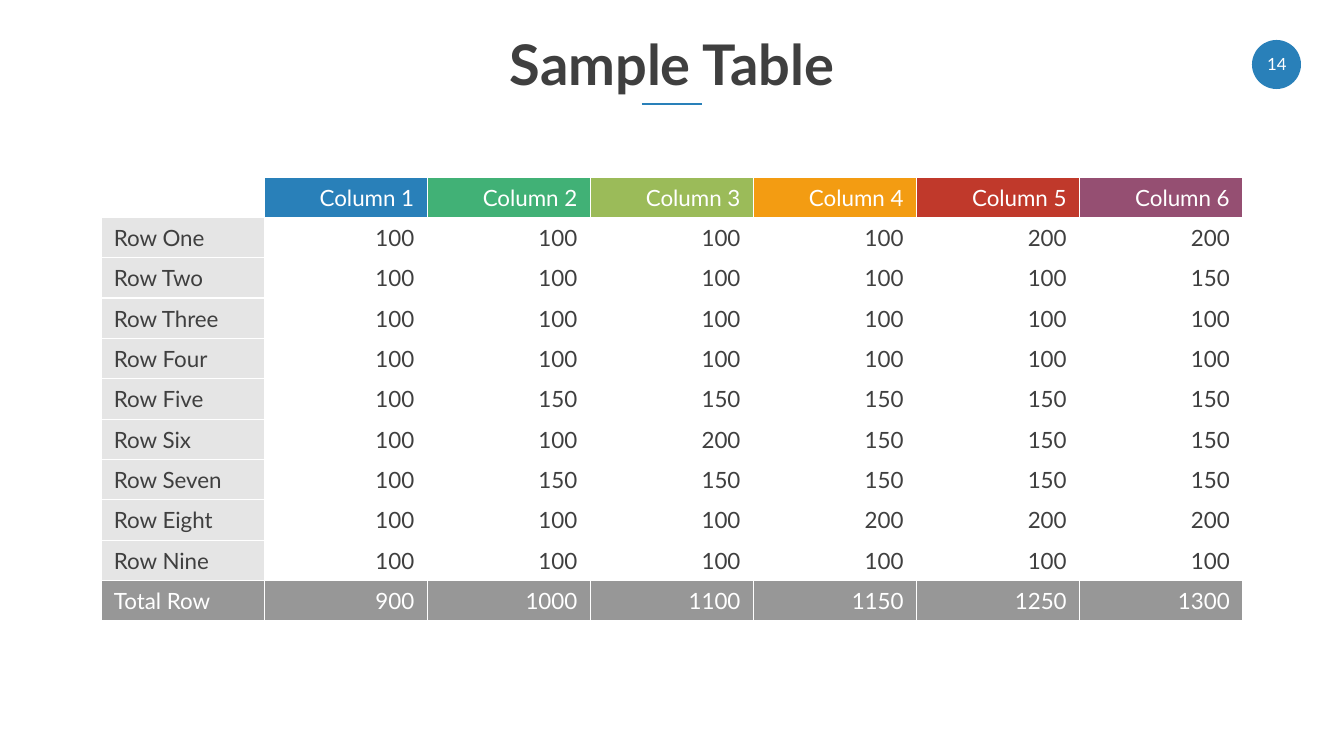
from lxml import etree
from pptx import Presentation
from pptx.dml.color import RGBColor
from pptx.enum.shapes import MSO_CONNECTOR, MSO_SHAPE
from pptx.enum.text import MSO_ANCHOR, PP_ALIGN
from pptx.oxml.ns import qn
from pptx.util import Pt

OVAL = MSO_SHAPE.OVAL
STRAIGHT = MSO_CONNECTOR.STRAIGHT
MIDDLE = MSO_ANCHOR.MIDDLE
LEFT, CENTER, RIGHT = PP_ALIGN.LEFT, PP_ALIGN.CENTER, PP_ALIGN.RIGHT

SLIDE_WIDTH, SLIDE_HEIGHT = 1344, 756
EMU_PER_PX = 12192000 / SLIDE_WIDTH
FONT = "Lato"

WHITE = RGBColor(0xFF, 0xFF, 0xFF)
DARK = RGBColor(0x3F, 0x3F, 0x3F)
GRAY = RGBColor(0x80, 0x80, 0x80)
BLUE = RGBColor(0x29, 0x80, 0xB9)
GREEN = RGBColor(0x41, 0xB1, 0x76)
LIME = RGBColor(0x9B, 0xBB, 0x59)
ORANGE = RGBColor(0xF3, 0x9C, 0x12)
RED = RGBColor(0xC0, 0x39, 0x2B)
PURPLE = RGBColor(0x95, 0x4F, 0x72)
HEADER_COLORS = [BLUE, GREEN, LIME, ORANGE, RED, PURPLE]

LABEL_OPACITY, TOTAL_OPACITY = 20, 81  # percent
ROWS = {
    "Row One": [100, 100, 100, 100, 200, 200],
    "Row Two": [100, 100, 100, 100, 100, 150],
    "Row Three": [100, 100, 100, 100, 100, 100],
    "Row Four": [100, 100, 100, 100, 100, 100],
    "Row Five": [100, 150, 150, 150, 150, 150],
    "Row Six": [100, 100, 200, 150, 150, 150],
    "Row Seven": [100, 150, 150, 150, 150, 150],
    "Row Eight": [100, 100, 100, 200, 200, 200],
    "Row Nine": [100, 100, 100, 100, 100, 100],
}


def px(length):
    return round(length * EMU_PER_PX)


def write(text_frame, text, size, color, align, bold=False):
    text_frame.text = text
    paragraph = text_frame.paragraphs[0]
    paragraph.alignment = align
    for run in paragraph.runs:
        run.font.name = FONT
        run.font.size = Pt(size)
        run.font.bold = bold
        run.font.color.rgb = color
    return paragraph


def add_text(slide, box, text, size, color, bold=False):
    text_frame = slide.shapes.add_textbox(*map(px, box)).text_frame
    text_frame.word_wrap = True
    text_frame.vertical_anchor = MIDDLE
    return write(text_frame, text, size, color, CENTER, bold)


def add_badge(slide, box, color):
    badge = slide.shapes.add_shape(OVAL, *map(px, box))
    badge.shadow.inherit = False
    badge.fill.solid()
    badge.fill.fore_color.rgb = color
    badge.line.fill.background()


def add_rule(slide, left, right, y, color):
    rule = slide.shapes.add_connector(STRAIGHT, px(left), px(y), px(right), px(y))
    rule.line.color.rgb = color
    rule.line.width = Pt(2)
    etree.SubElement(rule._element.spPr, qn("a:effectLst"))


def fill_cell(cell, color, opacity=100):
    cell.fill.solid()
    cell.fill.fore_color.rgb = color
    if opacity < 100:
        color_element = cell._tc.tcPr.find(".//" + qn("a:srgbClr"))
        etree.SubElement(color_element, qn("a:alpha"), val=str(opacity * 1000))


def add_borders(cell, color):
    properties = cell._tc.get_or_add_tcPr()
    # Borders come before the fill in the cell properties
    for position, side in enumerate(("a:lnL", "a:lnR", "a:lnT", "a:lnB")):
        border = etree.Element(qn(side), w=str(Pt(1)))
        solid = etree.SubElement(border, qn("a:solidFill"))
        etree.SubElement(solid, qn("a:srgbClr"), val=str(color))
        properties.insert(position, border)


def style_cell(cell, row, column, last_row):
    if row == 0 and column == 0:
        cell.margin_top = cell.margin_bottom = 0
    else:
        cell.margin_left = cell.margin_right = px(13)
        cell.margin_top, cell.margin_bottom = px(7), px(6)
    if row == 0 and column > 0:
        fill_cell(cell, HEADER_COLORS[column - 1])
    elif row == last_row:
        fill_cell(cell, GRAY, TOTAL_OPACITY)
    elif row > 0 and column == 0:
        fill_cell(cell, GRAY, LABEL_OPACITY)
    else:
        cell.fill.background()
    add_borders(cell, WHITE)


def add_data_table(slide, box):
    header = [""] + [f"Column {number + 1}" for number in range(len(HEADER_COLORS))]
    body = [[label, *values] for label, values in ROWS.items()]
    totals = ["Total Row", *map(sum, zip(*ROWS.values()))]
    grid = [header, *body, totals]
    last_row = len(grid) - 1

    frame = slide.shapes.add_table(len(grid), len(header), *map(px, box))
    table = frame.table
    table.horz_banding = False
    for row, values in enumerate(grid):
        for column, value in enumerate(values):
            cell = table.cell(row, column)
            color = WHITE if row in (0, last_row) else DARK
            align = RIGHT if column else LEFT
            write(cell.text_frame, str(value), 16, color, align)
            style_cell(cell, row, column, last_row)


def main():
    presentation = Presentation()
    presentation.slide_width = px(SLIDE_WIDTH)
    presentation.slide_height = px(SLIDE_HEIGHT)
    slide = presentation.slides.add_slide(presentation.slide_layouts[6])

    # Page number badge and title rule
    add_badge(slide, (1252, 40, 49, 49), BLUE)
    add_rule(slide, 642, 702, 104, BLUE)

    # Title and page number
    title = add_text(slide, (93, 20, 1158, 95), "Sample Table", 40, DARK, bold=True)
    title.line_spacing = 0.9
    add_text(slide, (1242, 44, 70, 40), "14", 12, WHITE)

    # Table
    add_data_table(slide, (101, 177, 1142, 444))

    presentation.save("out.pptx")


if __name__ == "__main__":
    main()
